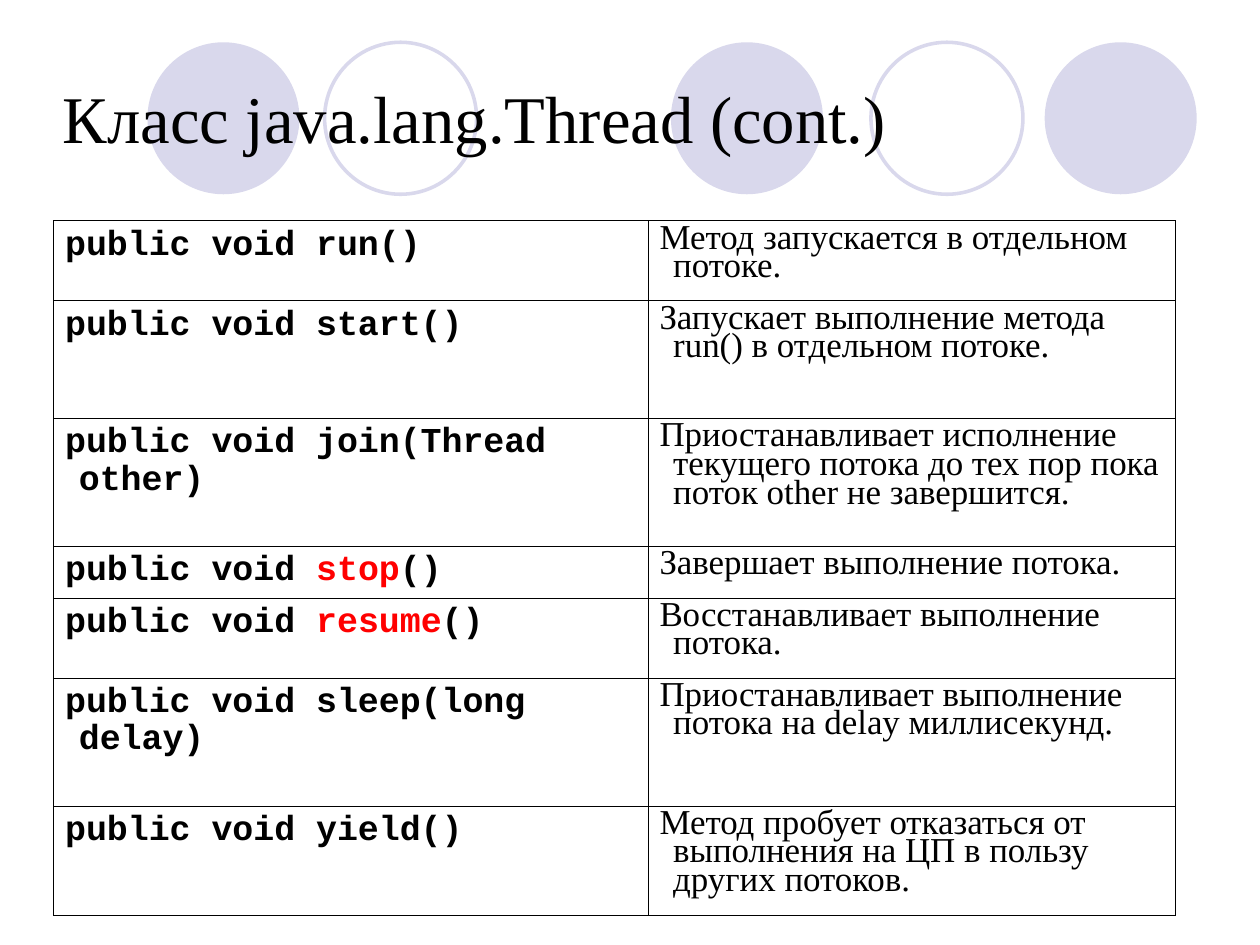
from lxml import etree
from pptx import Presentation
from pptx import util as u
from pptx.dml.color import RGBColor
from pptx.enum import shapes, text
from pptx.oxml import ns

BLACK = RGBColor(0x00, 0x00, 0x00)
RED = RGBColor(0xFF, 0x00, 0x00)
LAVENDER = RGBColor(0xD9, 0xD8, 0xEC)

SERIF = "Times New Roman"
MONO = "Courier New"

CIRCLE_TOP, CIRCLE_SIZE = 0.37, 1.33
FILLED_CIRCLES = (1.29, 5.87, 9.14)
OUTLINED_CIRCLES = (2.84, 7.62)

COLUMN_WIDTHS = (5.2, 4.61)
OUTER_BORDER, INNER_BORDER = 0.5, 0.23

# Row height, signature as (before, highlighted, after), description
METHODS = [
    (0.7, ("public void run()", "", ""),
     "Метод запускается в отдельном потоке."),
    (1.03, ("public void start()", "", ""),
     "Запускает выполнение метода run() в отдельном потоке."),
    (1.12, ("public void join(Thread other)", "", ""),
     "Приостанавливает исполнение текущего потока до тех пор пока "
     "поток other не завершится."),
    (0.45, ("public void ", "stop", "()"),
     "Завершает выполнение потока."),
    (0.7, ("public void ", "resume", "()"),
     "Восстанавливает выполнение потока."),
    (1.12, ("public void sleep(long delay)", "", ""),
     "Приостанавливает выполнение потока на delay миллисекунд."),
    (0.96, ("public void yield()", "", ""),
     "Метод пробует отказаться от выполнения на ЦП в пользу "
     "других потоков."),
]


def add_circle(page, left, filled):
    circle = page.shapes.add_shape(
        shapes.MSO_SHAPE.OVAL, u.Inches(left), u.Inches(CIRCLE_TOP),
        u.Inches(CIRCLE_SIZE), u.Inches(CIRCLE_SIZE))
    circle.shadow.inherit = False
    if filled:
        circle.fill.solid()
        circle.fill.fore_color.rgb = LAVENDER
        circle.line.fill.background()
    else:
        circle.fill.background()
        circle.line.color.rgb = LAVENDER
        circle.line.width = u.Pt(2.25)


def set_font(font, name, size, bold=False):
    font.name = name
    font.size = u.Pt(size)
    font.bold = bold


def add_title(page, wording):
    box = page.shapes.add_textbox(
        u.Inches(0.55), u.Inches(0.33), u.Inches(9.92), u.Inches(1.38))
    frame = box.text_frame
    frame.word_wrap = True
    frame.vertical_anchor = text.MSO_ANCHOR.MIDDLE
    frame.margin_left = frame.margin_right = 0
    frame.margin_top = frame.margin_bottom = 0
    para = frame.paragraphs[0]
    para.text = wording
    set_font(para.font, SERIF, 42)
    para.font.color.rgb = BLACK


def set_borders(cell, widths):
    """Draw black borders; widths are in points by side (L, R, T, B)."""
    properties = cell._tc.get_or_add_tcPr()
    for side, width in widths.items():
        line = etree.SubElement(properties, ns.qn(f"a:ln{side}"),
                                w=str(u.Pt(width)))
        fill = etree.SubElement(line, ns.qn("a:solidFill"))
        etree.SubElement(fill, ns.qn("a:srgbClr"), val=str(BLACK))


def fill_cell(cell, parts, font_name, bold, line_spacing, space_before):
    cell.margin_left = cell.margin_right = u.Inches(0.1)
    cell.margin_top = cell.margin_bottom = u.Inches(0.05)
    para = cell.text_frame.paragraphs[0]
    para.line_spacing = line_spacing
    para.space_before = u.Pt(space_before)
    indents = para._p.get_or_add_pPr()
    indents.set("marL", str(u.Inches(0.12)))
    indents.set("indent", str(u.Inches(-0.12)))
    set_font(para.font, font_name, 22, bold)
    for part, color in zip(parts, (BLACK, RED, BLACK)):
        if part:
            span = para.add_run()
            span.text = part
            span.font.color.rgb = color


def add_method_table(page):
    heights = [height for height, _, _ in METHODS]
    table = page.shapes.add_table(
        len(METHODS), len(COLUMN_WIDTHS), u.Inches(0.47), u.Inches(1.93),
        u.Inches(sum(COLUMN_WIDTHS)), u.Inches(sum(heights))).table
    table.first_row = table.horz_banding = False
    for column, width in zip(table.columns, COLUMN_WIDTHS):
        column.width = u.Inches(width)

    last = len(METHODS) - 1
    for index, (height, signature, description) in enumerate(METHODS):
        table.rows[index].height = u.Inches(height)
        name_cell, note_cell = table.cell(index, 0), table.cell(index, 1)
        fill_cell(name_cell, signature, MONO, True, 0.94, 0)
        fill_cell(note_cell, (description,), SERIF, False, 0.74, 5)
        top = OUTER_BORDER if index == 0 else INNER_BORDER
        bottom = OUTER_BORDER if index == last else INNER_BORDER
        for cell, left, right in (
                (name_cell, OUTER_BORDER, INNER_BORDER),
                (note_cell, INNER_BORDER, OUTER_BORDER)):
            set_borders(cell, {"L": left, "R": right, "T": top, "B": bottom})
            cell.fill.background()


def main():
    deck = Presentation()
    # The page is metric: 28 by 21 cm
    deck.slide_width, deck.slide_height = u.Cm(28), u.Cm(21)
    page = deck.slides.add_slide(deck.slide_layouts[6])

    # Decorative circles behind the title
    for left in FILLED_CIRCLES:
        add_circle(page, left, filled=True)
    for left in OUTLINED_CIRCLES:
        add_circle(page, left, filled=False)

    # Title and table of methods
    add_title(page, "Класс java.lang.Thread (cont.)")
    add_method_table(page)

    deck.save("out.pptx")


if __name__ == "__main__":
    main()
